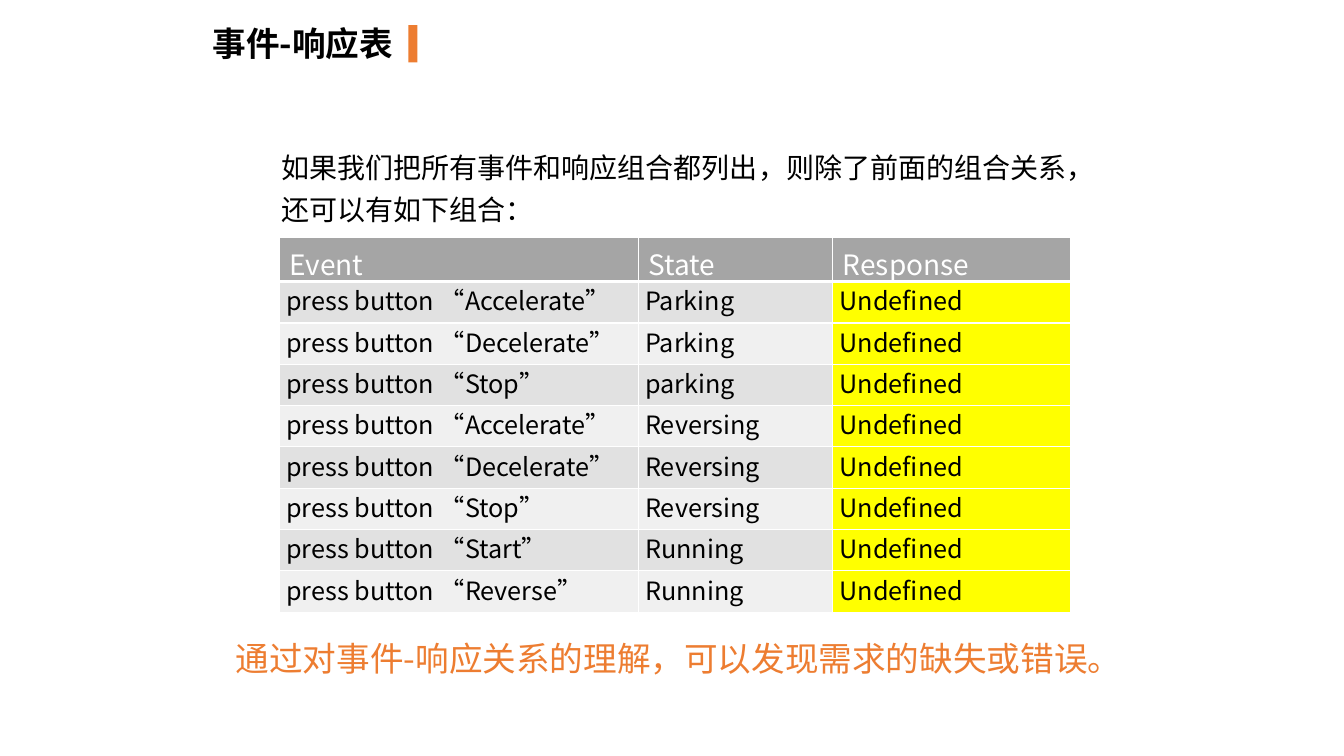
import pptx
import pptx.dml.color
import pptx.enum.lang
import pptx.enum.shapes
import pptx.enum.text
import pptx.oxml
import pptx.oxml.ns
import pptx.util

Inches = pptx.util.Inches
Pt = pptx.util.Pt
RGBColor = pptx.dml.color.RGBColor

FONT = "Noto Sans CJK SC"
BLACK = RGBColor(0x00, 0x00, 0x00)
WHITE = RGBColor(0xFF, 0xFF, 0xFF)
ORANGE = RGBColor(0xED, 0x7D, 0x31)
HEADER_GREY = RGBColor(0xA5, 0xA5, 0xA5)
BAND_GREYS = (RGBColor(0xE1, 0xE1, 0xE1), RGBColor(0xF0, 0xF0, 0xF0))
YELLOW = RGBColor(0xFF, 0xFF, 0x00)

COLUMN_WIDTHS = (3.56, 1.93, 2.36)
HEADER_HEIGHT = 0.43
ROW_HEIGHT = 0.41
HEADINGS = ("Event", "State", "Response")
COMBINATIONS = (
    ("Accelerate", "Parking"),
    ("Decelerate", "Parking"),
    ("Stop", "parking"),
    ("Accelerate", "Reversing"),
    ("Decelerate", "Reversing"),
    ("Stop", "Reversing"),
    ("Start", "Running"),
    ("Reverse", "Running"),
)


def write_text(frame, text, size=20, color=BLACK, bold=False, align=None,
               line_spacing=None, hanging=0):
    """Write one formatted paragraph into a text frame."""
    paragraph = frame.paragraphs[0]
    if hanging:
        properties = paragraph._p.get_or_add_pPr()
        properties.set("marL", str(Inches(hanging)))
        properties.set("indent", str(-Inches(hanging)))
    if align is not None:
        paragraph.alignment = align
    if line_spacing is not None:
        paragraph.line_spacing = line_spacing
    run = paragraph.add_run()
    run.text = text
    run.font.name = FONT
    run.font.size = Pt(size)
    run.font.bold = bold
    run.font.color.rgb = color
    run.font.language_id = pptx.enum.lang.MSO_LANGUAGE_ID.SIMPLIFIED_CHINESE


def add_text_box(slide, left, top, width, height, text, **text_format):
    """Add a wrapping text box that grows with its text."""
    box = slide.shapes.add_textbox(Inches(left), Inches(top), Inches(width), Inches(height))
    box.text_frame.word_wrap = True
    box.text_frame.auto_size = pptx.enum.text.MSO_AUTO_SIZE.SHAPE_TO_FIT_TEXT
    write_text(box.text_frame, text, **text_format)


def add_bar(slide, left, top, width, height, color):
    """Add a plain filled rectangle."""
    bar = slide.shapes.add_shape(
        pptx.enum.shapes.MSO_SHAPE.RECTANGLE,
        Inches(left), Inches(top), Inches(width), Inches(height))
    bar.shadow.inherit = False
    bar.fill.solid()
    bar.fill.fore_color.rgb = color
    bar.line.fill.background()


def add_borders(cell, bottom_width):
    """Draw white borders around a table cell."""
    properties = cell._tc.get_or_add_tcPr()
    for side, width in (("L", 1), ("R", 1), ("T", 1), ("B", bottom_width)):
        properties.append(pptx.oxml.parse_xml(
            f'<a:ln{side} {pptx.oxml.ns.nsdecls("a")} w="{Pt(width)}">'
            f'<a:solidFill><a:srgbClr val="{WHITE}"/></a:solidFill></a:ln{side}>'))


def fill_cell(cell, text, fill, side_margin, end_margin, bottom_width=1, **text_format):
    """Format one table cell and write its text."""
    cell.margin_left = cell.margin_right = Inches(side_margin)
    cell.margin_top = cell.margin_bottom = Inches(end_margin)
    add_borders(cell, bottom_width)
    cell.fill.solid()
    cell.fill.fore_color.rgb = fill
    write_text(cell.text_frame, text, align=pptx.enum.text.PP_ALIGN.JUSTIFY, **text_format)


def add_response_table(slide, left, top):
    """Add the table of events, states and responses."""
    row_count = len(COMBINATIONS) + 1
    height = HEADER_HEIGHT + ROW_HEIGHT * len(COMBINATIONS)
    table = slide.shapes.add_table(
        row_count, len(HEADINGS), Inches(left), Inches(top),
        Inches(sum(COLUMN_WIDTHS)), Inches(height)).table
    for column, width in zip(table.columns, COLUMN_WIDTHS):
        column.width = Inches(width)
    for index, row in enumerate(table.rows):
        row.height = Inches(ROW_HEIGHT if index else HEADER_HEIGHT)
    for column, heading in enumerate(HEADINGS):
        fill_cell(table.cell(0, column), heading, HEADER_GREY, 0.1, 0.05,
                  bottom_width=3, color=WHITE)
    for index, (button, state) in enumerate(COMBINATIONS):
        band = BAND_GREYS[index % 2]
        entries = ((f"press button “{button}”", band), (state, band), ("Undefined", YELLOW))
        for column, (text, fill) in enumerate(entries):
            fill_cell(table.cell(index + 1, column), text, fill, 0.07, 0, size=18)


def main():
    """Build the event-response slide."""
    deck = pptx.Presentation()
    deck.slide_width = Inches(13.33)
    deck.slide_height = Inches(7.5)
    slide = deck.slides.add_slide(deck.slide_layouts[6])
    add_text_box(slide, 2.01, 0.18, 3.97, 0.5, "事件-响应表", size=24, bold=True)
    add_bar(slide, 4.05, 0.25, 0.09, 0.37, ORANGE)
    add_text_box(slide, 2.69, 1.36, 8.37, 0.88,
                 "如果我们把所有事件和响应组合都列出，则除了前面的组合关系，还可以有如下组合：",
                 line_spacing=1.25)
    add_text_box(slide, 2.24, 6.28, 8.77, 0.5,
                 "通过对事件-响应关系的理解，可以发现需求的缺失或错误。",
                 size=24, color=ORANGE, hanging=0.51)
    add_response_table(slide, 2.77, 2.36)
    deck.save("out.pptx")


if __name__ == "__main__":
    main()
